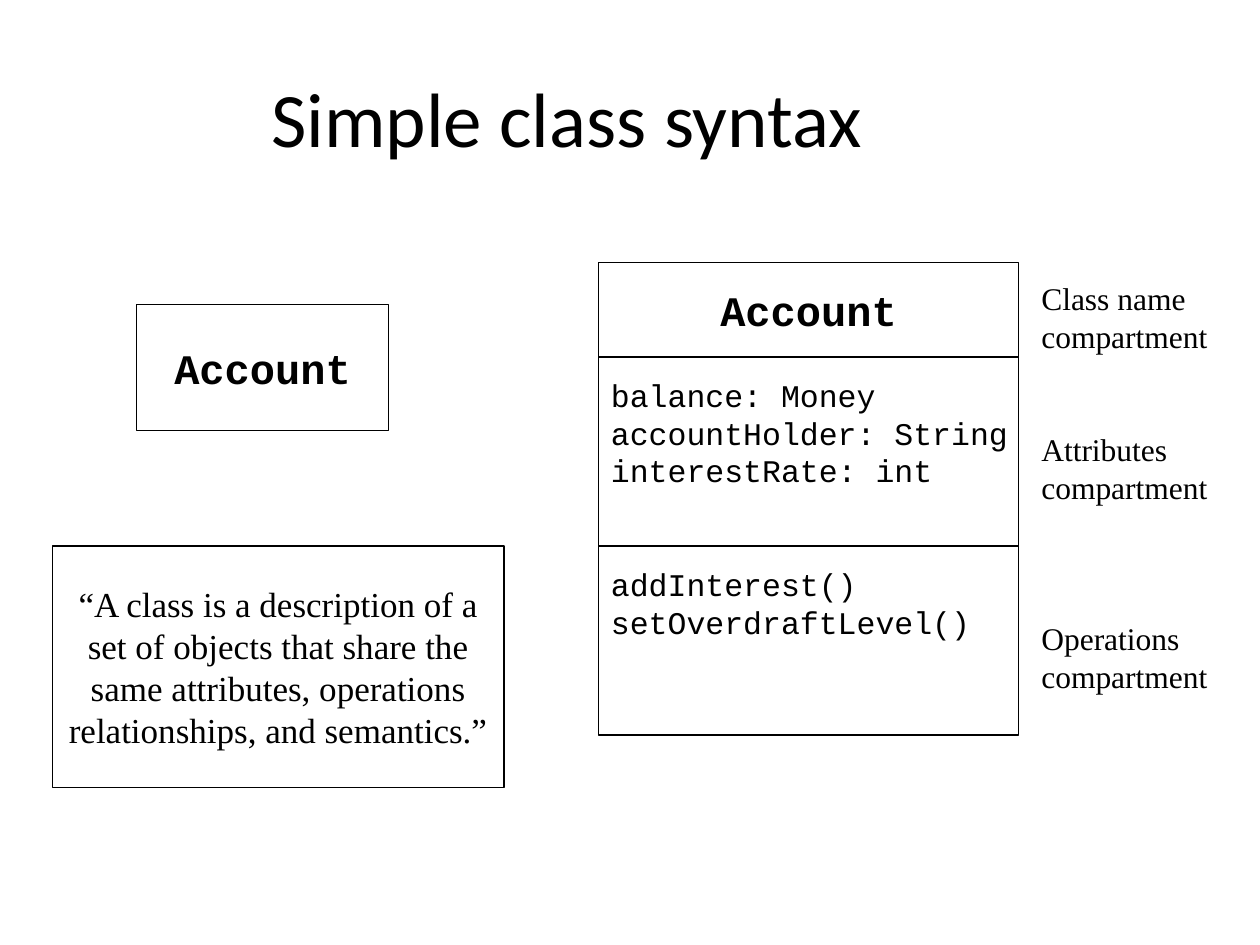
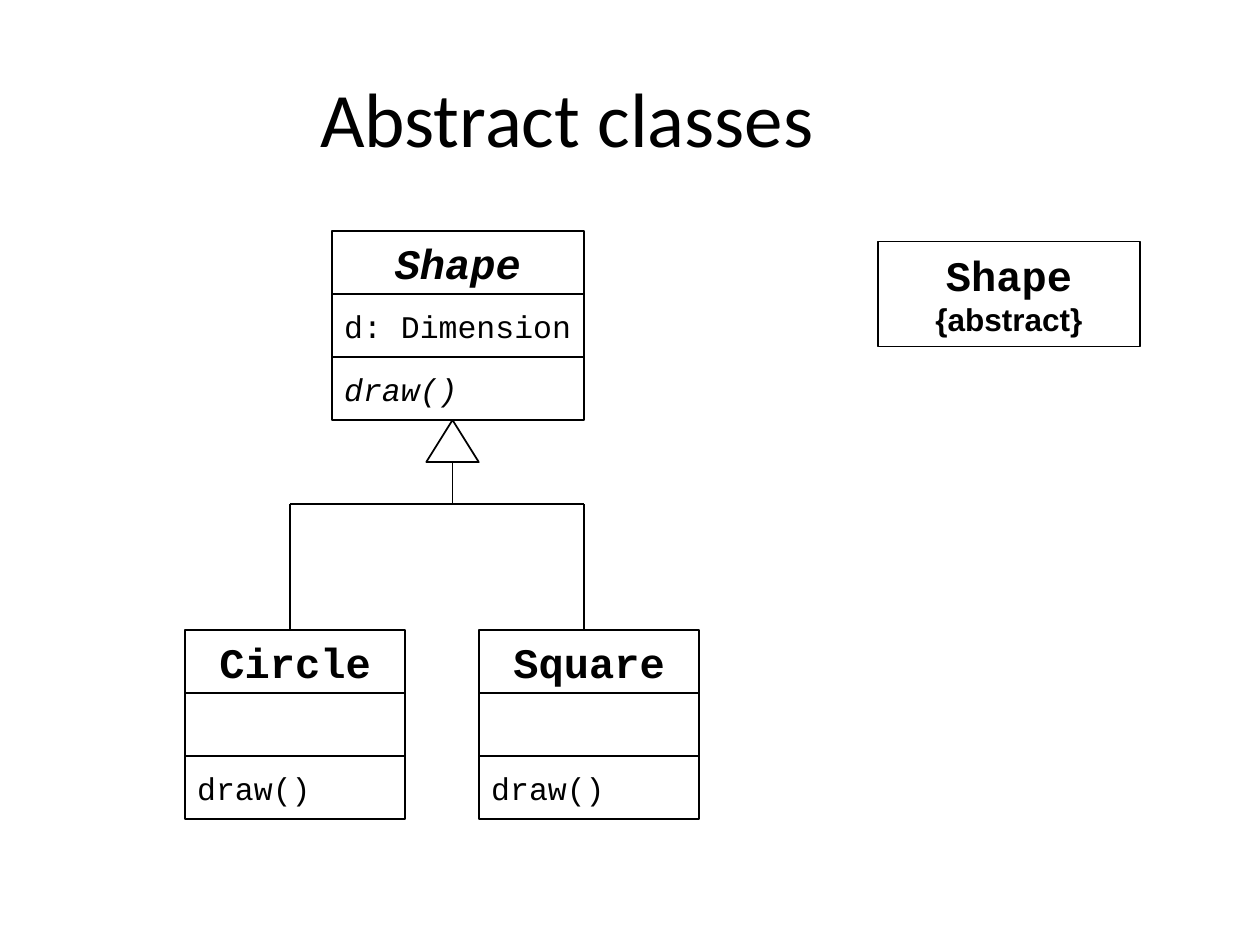
from dataclasses import dataclass, replace

from lxml.etree import SubElement
from pptx import Presentation
from pptx.dml.color import RGBColor
from pptx.enum.shapes import MSO_CONNECTOR as Connector, MSO_SHAPE as Preset
from pptx.enum.text import MSO_ANCHOR as Anchor, PP_ALIGN as Align
from pptx.oxml.ns import qn
from pptx.util import Inches, Pt

# Shared look; all places are in grid cells of a twelfth of an inch
CELL = 1 / 12
INK = "000000"
CODE, SERIF, SANS, HEADING = "Courier New", "Times New Roman", "Arial", "Calibri"


@dataclass(frozen=True)
class Style:
    font: str
    size: int
    bold: bool = False
    italic: bool = False
    align: Align = Align.LEFT


@dataclass(frozen=True)
class Line:
    text: str
    style: Style
    before: float = 0


@dataclass(frozen=True)
class Compartment:
    rows: float
    lines: tuple = ()
    top_inset: float | None = None


TITLE = Style(HEADING, 44, align=Align.CENTER)
NAME = Style(CODE, 24, bold=True, align=Align.CENTER)
ABSTRACT_NAME = replace(NAME, italic=True)
MEMBER = Style(CODE, 18)
ABSTRACT_MEMBER = replace(MEMBER, italic=True)
CONSTRAINT = Style(SANS, 18, bold=True, align=Align.CENTER)
LABEL = Style(SERIF, 18)
QUOTE = Style(SERIF, 20, align=Align.CENTER)


def cells(count: float) -> int:
    return Inches(count * CELL)


def colour(code: str) -> RGBColor:
    return RGBColor.from_string(code)


def write(frame, lines: tuple, wrap: bool = False) -> None:
    frame.word_wrap = wrap
    for index, line in enumerate(lines):
        para = frame.paragraphs[0] if index == 0 else frame.add_paragraph()
        para.alignment = line.style.align
        if line.before:
            para.space_before = Pt(line.before)
        span = para.add_run()
        span.text = line.text
        span.font.name = line.style.font
        span.font.size = Pt(line.style.size)
        span.font.bold = line.style.bold
        span.font.italic = line.style.italic
        span.font.color.rgb = colour(INK)


def outline(shape) -> None:
    shape.line.color.rgb = colour(INK)
    shape.line.width = Pt(1)


def add_outlined(page, preset: Preset, column: float, row: float, columns: float, rows: float):
    shape = page.shapes.add_shape(preset, *map(cells, (column, row, columns, rows)))
    shape.shadow.inherit = False
    shape.fill.background()
    outline(shape)
    return shape


def add_box(page, column: float, row: float, columns: float, rows: float,
            lines: tuple = (), wrap: bool = False, top_inset: float | None = None) -> None:
    box = add_outlined(page, Preset.RECTANGLE, column, row, columns, rows)
    frame = box.text_frame
    frame.vertical_anchor = Anchor.MIDDLE
    if top_inset is not None:
        frame.vertical_anchor = Anchor.TOP
        frame.margin_top = Inches(top_inset)
    write(frame, lines, wrap)


def add_class(page, column: float, row: float, columns: float, compartments: tuple) -> None:
    for part in compartments:
        add_box(page, column, row, columns, part.rows, part.lines, top_inset=part.top_inset)
        row += part.rows


def add_line(page, column: float, row: float, end_column: float, end_row: float) -> None:
    line = page.shapes.add_connector(
        Connector.STRAIGHT, *map(cells, (column, row, end_column, end_row)))
    outline(line)
    SubElement(line._element.spPr, qn("a:effectLst"))


def add_page(deck, title: str):
    page = deck.slides.add_slide(deck.slide_layouts.get_by_name("Title Only"))
    head = page.shapes.title
    head.left, head.top, head.width, head.height = map(cells, (0, 3.6, 108, 15))
    head.text_frame.vertical_anchor = Anchor.MIDDLE
    write(head.text_frame, (Line(title, TITLE),), wrap=True)
    return page


def members(*texts: str) -> tuple:
    return tuple(Line(text, MEMBER) for text in texts)


def add_syntax_page(deck) -> None:
    page = add_page(deck, "Simple class syntax")
    account = (Line("Account", NAME),)

    # Class with three compartments, and their labels
    add_class(page, 57, 25, 40, (
        Compartment(9, account),
        Compartment(18, members("balance: Money", "accountHolder: String",
                                "interestRate: int"), 0.15),
        Compartment(18, members("addInterest()", "setOverdraftLevel()"), 0.15),
    ))
    labels = page.shapes.add_textbox(*map(cells, (98, 26, 18.2, 40.8)))
    parts = (("Class name", 0), ("Attributes", 43.2), ("Operations", 64.8))
    write(labels.text_frame, tuple(
        line for part, gap in parts
        for line in (Line(part, LABEL, gap), Line("compartment", LABEL))))

    # Short form and definition
    add_box(page, 13, 29, 24, 12, account)
    definition = ("“A class is a description of a set of objects that share the same "
                  "attributes, operations relationships, and semantics.”")
    add_box(page, 5, 52, 43, 23, (Line(definition, QUOTE),), wrap=True)


def add_abstract_page(deck) -> None:
    page = add_page(deck, "Abstract classes")

    # Abstract parent, and its other notation
    add_class(page, 31.6, 22, 24, (
        Compartment(6, (Line("Shape", ABSTRACT_NAME),)),
        Compartment(6, members("d: Dimension")),
        Compartment(6, (Line("draw()", ABSTRACT_MEMBER),)),
    ))
    add_box(page, 83.6, 23, 25, 10, (Line("Shape", NAME), Line("{abstract}", CONSTRAINT)))

    # Inheritance arrow with its branches
    trunk, bar, left, right, children = 43.1, 48, 27.6, 55.6, 60
    add_outlined(page, Preset.ISOSCELES_TRIANGLE, trunk - 2.5, 40, 5, 4)
    add_line(page, trunk, 44, trunk, bar)
    add_line(page, left, bar, right, bar)

    # Concrete children
    for name, branch in (("Circle", left), ("Square", right)):
        add_line(page, branch, bar, branch, children)
        add_class(page, branch - 10, children, 21, (
            Compartment(6, (Line(name, NAME),)),
            Compartment(6),
            Compartment(6, members("draw()")),
        ))


def main() -> None:
    deck = Presentation()
    deck.slide_width, deck.slide_height = cells(120), cells(90)
    add_syntax_page(deck)
    add_abstract_page(deck)
    deck.save("out.pptx")


if __name__ == "__main__":
    main()
